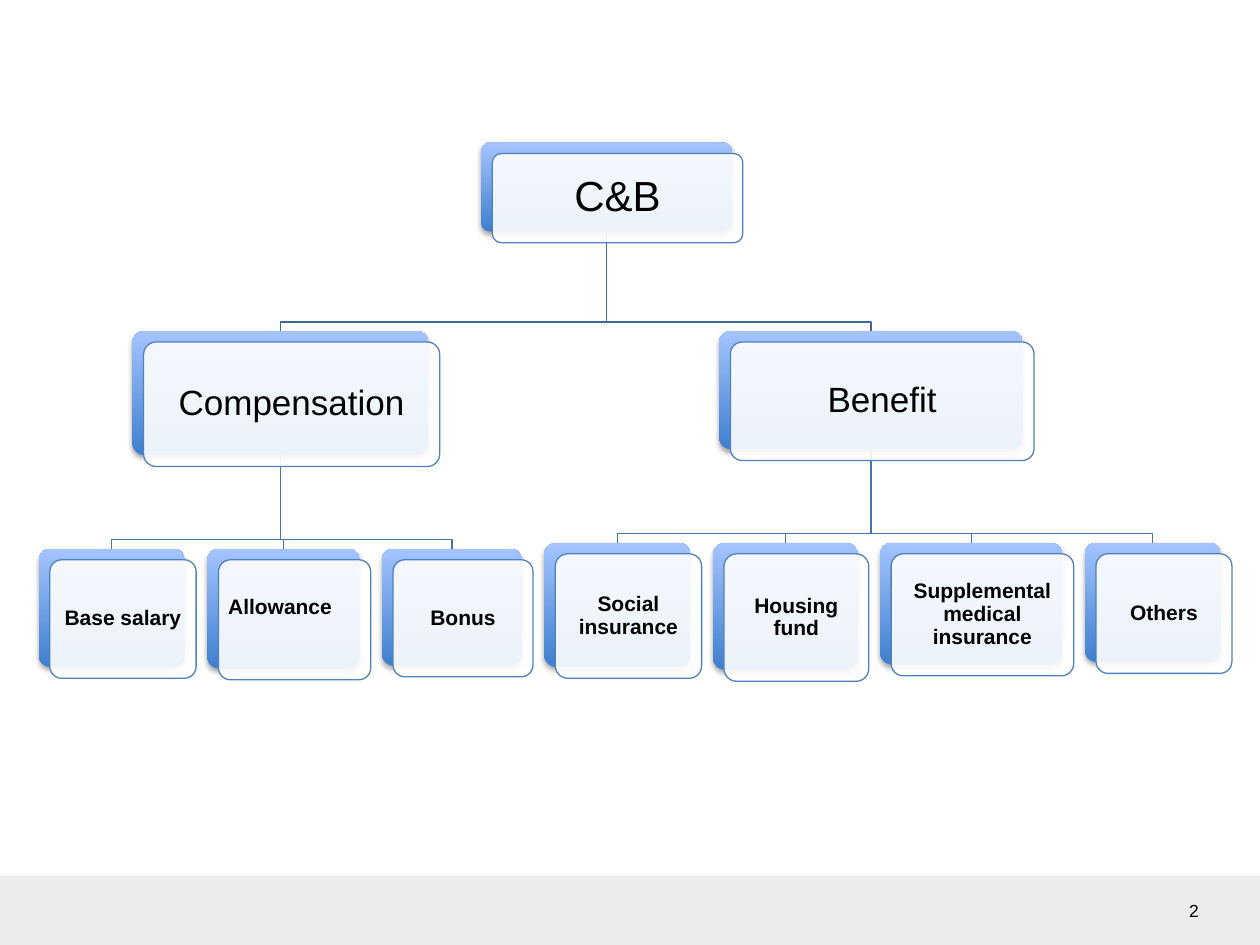
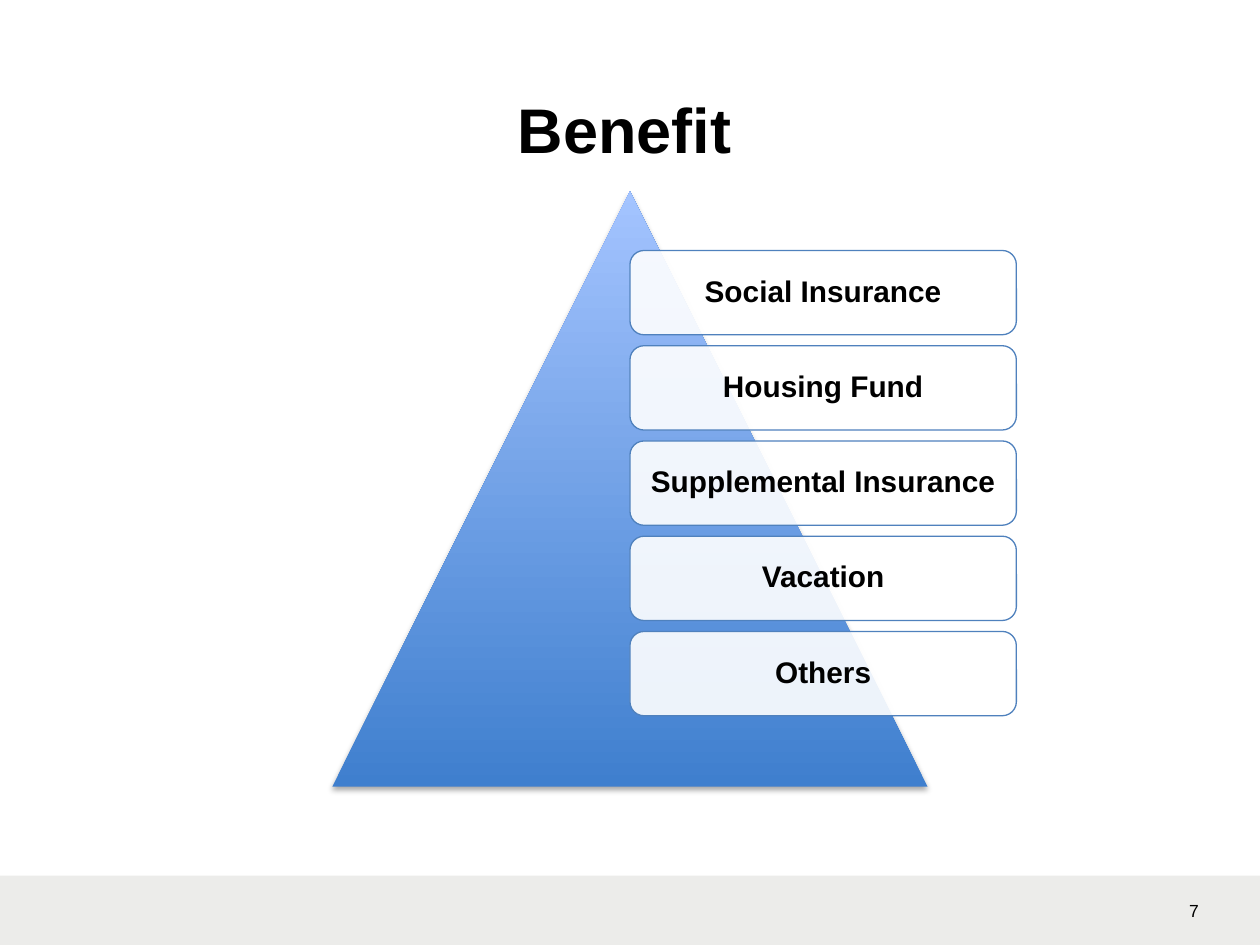
from dataclasses import dataclass

import lxml.etree
import pptx
import pptx.dml.color
import pptx.enum.shapes
import pptx.enum.text
import pptx.oxml.ns
import pptx.util

Cm = pptx.util.Cm
Pt = pptx.util.Pt
Align = pptx.enum.text.PP_ALIGN
Preset = pptx.enum.shapes.MSO_SHAPE
qn = pptx.oxml.ns.qn

FONT = "Arial"
BLACK = "000000"
WHITE = "FFFFFF"
FOOTER_GREY = "ECECEA"
GRADIENT = ("3F7FCE", "A4C4FF")
CARD_LINE = "4F81BD"
TRUNK_LINE = "3F6797"
BRANCH_LINE = "4875AC"

PAGE_WIDTH, PAGE_HEIGHT = 25.4, 19.05
FOOTER_HEIGHT = 1.4
CARD_OFFSET = 0.225
LEAF_GAP = 0.45
BRANCH_DROP = 2.0
LEAF_DROP = 1.88
ELBOW_RISE = 0.18
INSET_PER_POINT = 0.0105


@dataclass(frozen=True)
class Box:
    left: float
    top: float
    width: float
    height: float

    @property
    def centre(self) -> float:
        return self.left + self.width / 2

    @property
    def bottom(self) -> float:
        return self.top + self.height

    def moved(self, distance: float) -> "Box":
        return Box(self.left + distance, self.top + distance, self.width, self.height)

    def lengths(self) -> list:
        return [Cm(value) for value in (self.left, self.top, self.width, self.height)]


@dataclass(frozen=True)
class Leaf:
    label: str
    width: float
    height: float
    align: Align = Align.CENTER
    lift: float = 0


@dataclass(frozen=True)
class Branch:
    label: str
    left: float
    width: float
    height: float
    leaves: tuple


@dataclass(frozen=True)
class Node:
    label: str
    box: Box
    size: int
    bold: bool = False
    align: Align = Align.CENTER
    lift: float = 0


BRANCHES = (
    Branch("Compensation", 2.67, 5.97, 2.51, (
        Leaf("Base salary", 2.95, 2.39),
        Leaf("Allowance", 3.07, 2.42, Align.LEFT, 0.48),
        Leaf("Bonus", 2.82, 2.36),
    )),
    Branch("Benefit", 14.5, 6.12, 2.39, (
        Leaf("Social insurance", 2.95, 2.51),
        Leaf("Housing fund", 2.92, 2.57),
        Leaf("Supplemental medical insurance", 3.68, 2.46),
        Leaf("Others", 2.74, 2.41),
    )),
)
BENEFITS = ("Social Insurance", "Housing Fund", "Supplemental Insurance", "Vacation", "Others")


def colour(code: str) -> pptx.dml.color.RGBColor:
    return pptx.dml.color.RGBColor.from_string(code)


def write(shape, text: str, size: int, bold: bool = False, align: Align = Align.LEFT) -> None:
    frame = shape.text_frame
    frame.word_wrap = True
    frame.text = text
    para = frame.paragraphs[0]
    para.alignment = align
    span = para.runs[0]
    span.font.name = FONT
    span.font.size = Pt(size)
    span.font.bold = bold
    span.font.color.rgb = colour(BLACK)


def add_text(page, box: Box, text: str, size: int, bold: bool = False):
    shape = page.shapes.add_textbox(*box.lengths())
    write(shape, text, size, bold)
    return shape


def add_gradient_shape(page, preset: Preset, box: Box):
    shape = page.shapes.add_shape(preset, *box.lengths())
    shape.line.fill.background()
    shape.fill.gradient()
    shape.fill.gradient_angle = 90
    for stop, code in zip(shape.fill.gradient_stops, GRADIENT):
        stop.color.rgb = colour(code)
    shape.shadow.inherit = False
    effects = shape._element.spPr.find(qn("a:effectLst"))
    shadow = lxml.etree.SubElement(effects, qn("a:outerShdw"), blurRad="40000",
                                   dist="23000", dir="5400000", rotWithShape="0")
    tint = lxml.etree.SubElement(shadow, qn("a:srgbClr"), val=BLACK)
    lxml.etree.SubElement(tint, qn("a:alpha"), val="35000")
    return shape


def add_card(page, node: Node):
    shape = page.shapes.add_shape(Preset.ROUNDED_RECTANGLE, *node.box.lengths())
    shape.shadow.inherit = False
    shape.fill.solid()
    shape.fill.fore_color.rgb = colour(WHITE)
    tint = shape._element.spPr.find(qn("a:solidFill")).find(qn("a:srgbClr"))
    lxml.etree.SubElement(tint, qn("a:alpha"), val="90000")
    shape.line.color.rgb = colour(CARD_LINE)
    shape.line.width = Pt(0.75)
    write(shape, node.label, node.size, node.bold, node.align)
    frame = shape.text_frame
    frame.vertical_anchor = pptx.enum.text.MSO_ANCHOR.MIDDLE
    inset = Cm(node.size * INSET_PER_POINT)
    frame.margin_left = frame.margin_right = frame.margin_top = inset
    frame.margin_bottom = inset + Cm(node.lift)
    frame.paragraphs[0].line_spacing = 0.9
    return shape


def add_node(page, node: Node) -> None:
    back = add_gradient_shape(page, Preset.ROUNDED_RECTANGLE, node.box)
    front_node = Node(node.label, node.box.moved(CARD_OFFSET), node.size,
                      node.bold, node.align, node.lift)
    front = add_card(page, front_node)
    for shape in (back, front):
        shape.adjustments[0] = 0.1


def add_elbow(page, parent: Box, child: Box, code: str) -> None:
    bend = child.top - ELBOW_RISE
    points = [(parent.centre, parent.bottom), (parent.centre, bend),
              (child.centre, bend), (child.centre, child.top)]
    start, *rest = [(Cm(x), Cm(y)) for x, y in points]
    builder = page.shapes.build_freeform(*start)
    builder.add_line_segments(rest, close=False)
    shape = builder.convert_to_shape()
    shape.shadow.inherit = False
    shape.fill.background()
    shape.line.color.rgb = colour(code)
    shape.line.width = Pt(0.75)


def add_page(deck, number: int):
    page = deck.slides.add_slide(deck.slide_layouts[6])
    band_box = Box(0, PAGE_HEIGHT - FOOTER_HEIGHT, PAGE_WIDTH, FOOTER_HEIGHT)
    band = page.shapes.add_shape(Preset.RECTANGLE, *band_box.lengths())
    band.shadow.inherit = False
    band.fill.solid()
    band.fill.fore_color.rgb = colour(FOOTER_GREY)
    band.line.fill.background()
    add_text(page, Box(23.72, 18.01, 1.5, 0.69), str(number), 10)
    return page


def build_tree(deck) -> None:
    page = add_page(deck, 2)
    root = Node("C&B", Box(9.7, 2.87, 5.05, 1.8), 24)
    nodes = [root]
    elbows = []
    leaf_left = 0.78
    for branch in BRANCHES:
        branch_box = Box(branch.left, root.box.bottom + BRANCH_DROP, branch.width, branch.height)
        nodes.append(Node(branch.label, branch_box, 20))
        elbows.append((root.box, branch_box, TRUNK_LINE))
        for leaf in branch.leaves:
            leaf_box = Box(leaf_left, branch_box.bottom + LEAF_DROP, leaf.width, leaf.height)
            nodes.append(Node(leaf.label, leaf_box, 12, True, leaf.align, leaf.lift))
            elbows.append((branch_box, leaf_box, BRANCH_LINE))
            leaf_left += leaf.width + LEAF_GAP
    for parent, child, code in elbows:
        add_elbow(page, parent, child, code)
    for node in nodes:
        add_node(page, node)


def build_pyramid(deck) -> None:
    page = add_page(deck, 7)
    title = add_text(page, Box(10.19, 1.73, 5.05, 1.7), "Benefit", 36, True)
    title.text_frame.vertical_anchor = pptx.enum.text.MSO_ANCHOR.MIDDLE
    add_gradient_shape(page, Preset.ISOSCELES_TRIANGLE, Box(6.7, 3.86, 12, 12))
    for row, label in enumerate(BENEFITS):
        add_card(page, Node(label, Box(12.7, 5.05 + row * 1.92, 7.79, 1.7), 17, True))


def main() -> None:
    deck = pptx.Presentation()
    deck.slide_width = Cm(PAGE_WIDTH)
    deck.slide_height = Cm(PAGE_HEIGHT)
    build_tree(deck)
    build_pyramid(deck)
    deck.save("out.pptx")


if __name__ == "__main__":
    main()
